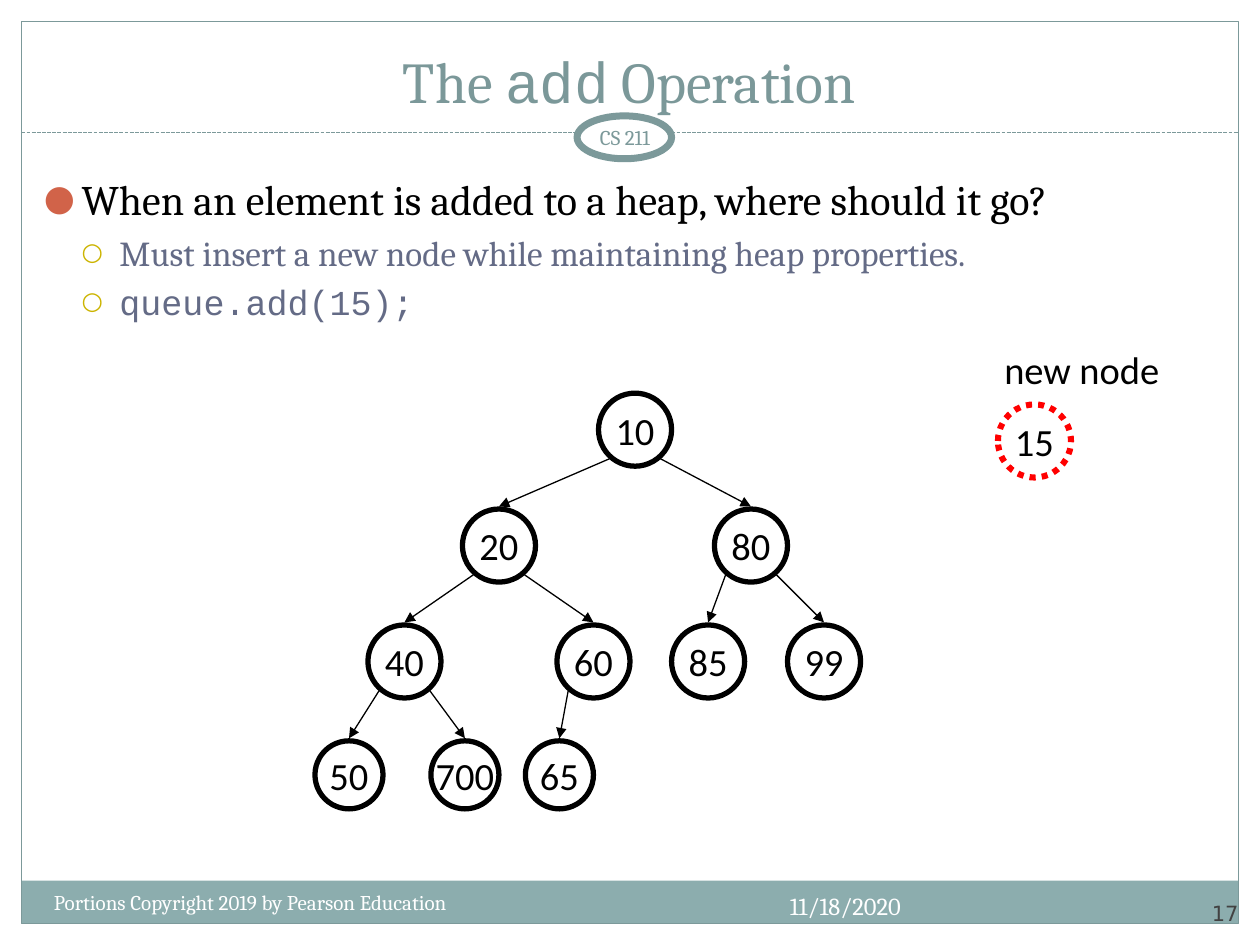
from lxml import etree
from pptx import Presentation
from pptx import util as u
from pptx.dml.color import RGBColor
from pptx.enum import dml, shapes, text
from pptx.oxml import ns

Inches = u.Inches
COLORS = {
    "frame": "7C999A", "title": "7B9899", "band": "8CADAE", "white": "FFFFFF",
    "black": "000000", "detail": "646B86", "new": "FF0000", "number": "424242",
    "bullet": "D16349", "subbullet": "CCB400",
}
TREE = {
    "10": (0, 5.04, None), "20": (1, 3.96, "10"), "80": (1, 5.96, "10"),
    "40": (2, 3.21, "20"), "60": (2, 4.71, "20"), "85": (2, 5.62, "80"),
    "99": (2, 6.54, "80"), "50": (3, 2.77, "40"), "700": (3, 3.69, "40"),
    "65": (3, 4.44, "60"),
}
ROW_STEP = 0.92
NODE_SIZE = 0.58
LEAF_SIZE = 0.54


def rgb(name):
    """Return the named colour."""
    return RGBColor.from_string(COLORS[name])


def style_font(font, size, name, color):
    """Set size, typeface and colour of a font."""
    font.size, font.name = u.Pt(size), name
    font.color.rgb = rgb(color)


def add_text(slide, box, runs, size, color, align=text.PP_ALIGN.LEFT,
             anchor=text.MSO_ANCHOR.TOP, inset=None, wrap=True):
    """Add a one-paragraph text box from (text, typeface) runs."""
    shape = slide.shapes.add_textbox(*map(Inches, box))
    frame = shape.text_frame
    frame.word_wrap, frame.vertical_anchor = wrap, anchor
    if inset is not None:
        frame.margin_left = frame.margin_right = Inches(inset)
        frame.margin_top = frame.margin_bottom = Inches(inset)
    paragraph = frame.paragraphs[0]
    paragraph.alignment = align
    style_font(paragraph.font, size, runs[0][1], color)
    for content, typeface in runs:
        run = paragraph.add_run()
        run.text = content
        style_font(run.font, size, typeface, color)
    return shape


def add_figure(slide, kind, box, fill=None, line=None, width=0.75):
    """Add a preset shape with a plain fill and outline."""
    shape = slide.shapes.add_shape(kind, *map(Inches, box))
    shape.shadow.inherit = False
    if fill:
        shape.fill.solid()
        shape.fill.fore_color.rgb = rgb(fill)
    else:
        shape.fill.background()
    if line:
        shape.line.color.rgb = rgb(line)
        shape.line.width = u.Pt(width)
    else:
        shape.line.fill.background()
    return shape


def add_line(slide, start, end, color):
    """Add a thin straight connector without a shadow."""
    line = slide.shapes.add_connector(
        shapes.MSO_CONNECTOR.STRAIGHT, *map(Inches, (*start, *end)))
    line.line.color.rgb = rgb(color)
    line.line.width = u.Pt(0.75)
    etree.SubElement(line._element.spPr, ns.qn("a:effectLst"))
    return line


def add_frame(slide, box):
    """Draw the page frame, footer band and dashed title rule."""
    left, top, width, height = box
    rectangle = shapes.MSO_SHAPE.RECTANGLE
    add_figure(slide, rectangle, (left, top + height - 0.34, width, 0.34), "band")
    add_figure(slide, rectangle, box, line="frame")
    rule = add_line(slide, (left, 1.05), (left + width, 1.05), "frame")
    rule.line.dash_style = dml.MSO_LINE.SQUARE_DOT
    rule.line._ln.find(ns.qn("a:prstDash")).set("val", "sysDash")


def add_heading(slide, box):
    """Place the title and the course badge below it."""
    left, top, width, height = box
    center, middle = text.PP_ALIGN.CENTER, text.MSO_ANCHOR.MIDDLE
    add_text(slide, box,
             [("The ", "Cambria"), ("add", "Courier New"), (" Operation", "Cambria")],
             33, "title", center, text.MSO_ANCHOR.BOTTOM)
    badge_top = top + height - 0.04
    add_figure(slide, shapes.MSO_SHAPE.OVAL, (left + 4.25, badge_top, 0.75, 0.34),
               "white", "frame", 4)
    add_text(slide, (left + 4.17, badge_top, 0.92, 0.33), [("CS 211", "Cambria")],
             12, "frame", center, middle, 0.05)


def add_bullet(paragraph, level, symbol, color, percent):
    """Give a paragraph a hanging indent and a coloured bullet."""
    properties = paragraph._p.get_or_add_pPr()
    properties.set("marL", str(Inches(0.3 * (level + 1))))
    properties.set("indent", str(Inches(-0.3)))
    bullet_color = etree.SubElement(properties, ns.qn("a:buClr"))
    etree.SubElement(bullet_color, ns.qn("a:srgbClr"), val=COLORS[color])
    etree.SubElement(properties, ns.qn("a:buSzPct"), val=str(percent * 1000))
    etree.SubElement(properties, ns.qn("a:buFont"), typeface="Cambria")
    etree.SubElement(properties, ns.qn("a:buChar"), char=symbol)


def add_body(slide, box):
    """Place the question and its two sub-points."""
    frame = slide.shapes.add_textbox(*map(Inches, box)).text_frame
    frame.word_wrap = True
    points = [
        (0, "When an element is added to a heap, where should it go?", "Cambria"),
        (1, "Must insert a new node while maintaining heap properties.", "Cambria"),
        (1, "queue.add(15);", "Courier New"),
    ]
    styles = [("●", "bullet", 85, 24, "black"), ("○", "subbullet", 70, 20, "detail")]
    for index, (level, content, typeface) in enumerate(points):
        symbol, bullet_color, percent, size, color = styles[level]
        paragraph = frame.add_paragraph() if index else frame.paragraphs[0]
        paragraph.text, paragraph.level = content, level
        if index:
            paragraph.space_before = u.Pt(size * 0.2)
        add_bullet(paragraph, level, symbol, bullet_color, percent)
        style_font(paragraph.font, size, typeface, color)


def add_node(slide, box, label, color="black", width=3):
    """Draw one labelled circle."""
    node = add_figure(slide, shapes.MSO_SHAPE.OVAL, box, line=color, width=width)
    frame = node.text_frame
    frame.word_wrap, frame.vertical_anchor = False, text.MSO_ANCHOR.MIDDLE
    paragraph = frame.paragraphs[0]
    paragraph.text, paragraph.alignment = label, text.PP_ALIGN.CENTER
    style_font(paragraph.font, 22, "Calibri", "black")
    return node


def add_heap(slide, top):
    """Draw the heap with an arrow from each parent to its child."""
    for label, (level, center, parent) in TREE.items():
        size = LEAF_SIZE if level == 3 else NODE_SIZE
        node_top = top + level * ROW_STEP
        add_node(slide, (center - size / 2, node_top, size, size), label)
        if parent:
            parent_level, parent_center, _ = TREE[parent]
            side = 0.2 if center > parent_center else -0.2
            start = (parent_center + side, top + parent_level * ROW_STEP + 0.52)
            arrow = add_line(slide, start, (center, node_top - 0.02), "black")
            etree.SubElement(arrow.line._ln, ns.qn("a:tailEnd"), type="triangle")


def add_new_node(slide, box):
    """Draw the dotted new node under its caption."""
    left, top, width, height = box
    node = add_node(slide, (left + 0.06, top + 0.51, NODE_SIZE, NODE_SIZE),
                    "15", "new", 3.5)
    node.line.dash_style = dml.MSO_LINE.ROUND_DOT
    node.line._ln.find(ns.qn("a:prstDash")).set("val", "sysDot")
    add_text(slide, (left, top, width, 0.47), [("new node", "Calibri")], 22,
             "black", text.PP_ALIGN.RIGHT, wrap=False)


def add_footer(slide, box):
    """Place copyright, date and page number on the footer band."""
    left, top, width, height = box
    right = text.PP_ALIGN.RIGHT
    add_text(slide, (left, top, 4.08, height),
             [("Portions Copyright 2019 by Pearson Education", "Cambria")], 12, "white")
    add_text(slide, (left + 5.26, top + 0.01, 1.66, height),
             [("11/18/2020", "Cambria")], 14, "white", right)
    add_text(slide, (left + width - 0.83, top - 0.06, 0.83, height),
             [("17", "DejaVu Sans")], 12, "number", right, text.MSO_ANCHOR.BOTTOM, 0)


def main():
    """Build and save the slide."""
    presentation = Presentation()
    presentation.slide_width, presentation.slide_height = Inches(10), Inches(7.5)
    slide = presentation.slides.add_slide(presentation.slide_layouts[6])
    add_frame(slide, (0.17, 0.17, 9.66, 7.16))
    add_heading(slide, (0.33, 0.25, 9.33, 0.71))
    add_body(slide, (0.25, 1.33, 9.5, 5.58))
    add_heap(slide, 3.12)
    add_new_node(slide, (7.86, 2.7, 1.44, 1.09))
    add_footer(slide, (0.33, 7.01, 9.5, 0.4))
    presentation.save("out.pptx")


if __name__ == "__main__":
    main()
